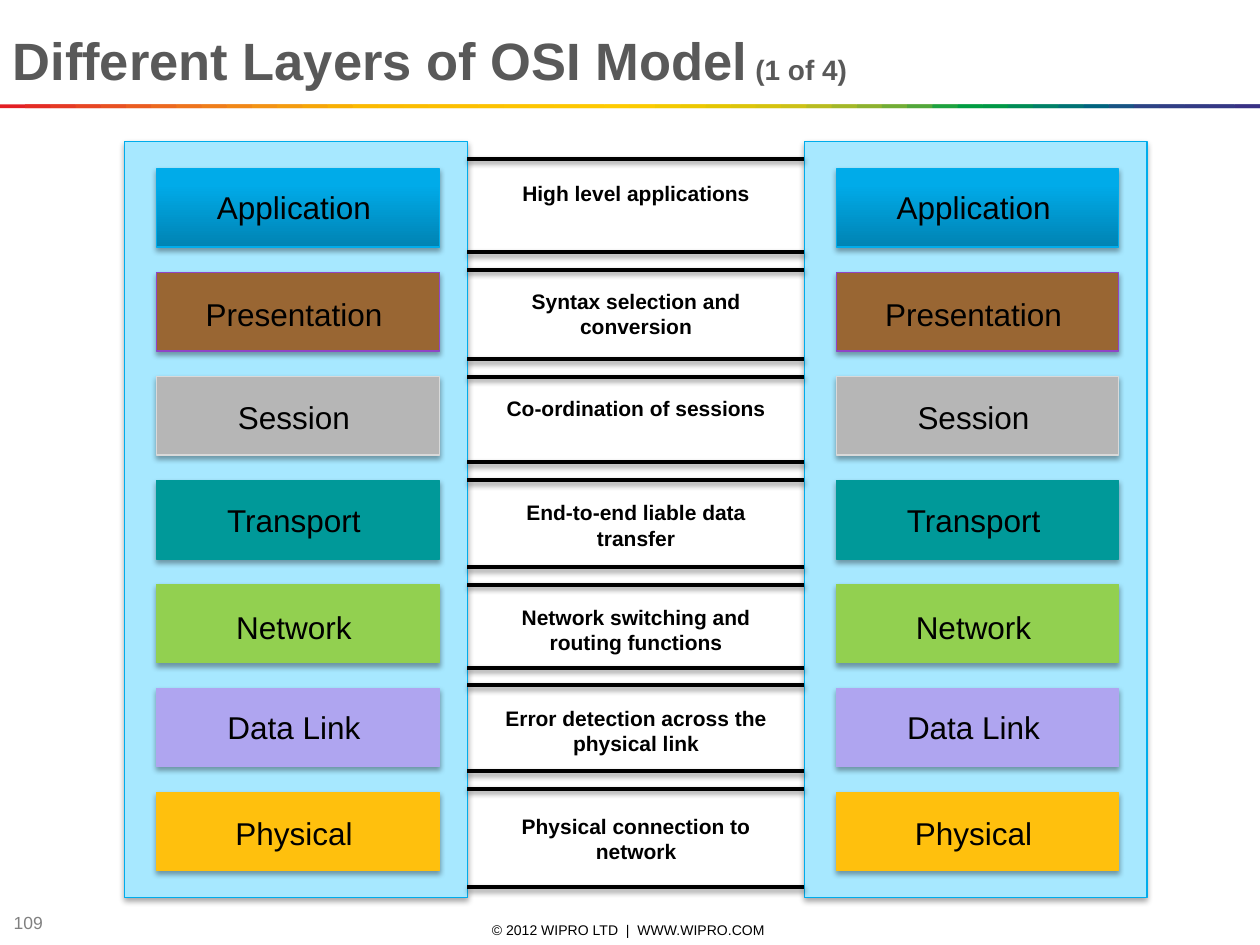
import dataclasses
from typing import Any

import lxml.etree
import pptx
import pptx.dml.color
import pptx.enum.shapes
import pptx.enum.text
import pptx.oxml.ns
import pptx.util

Pt = pptx.util.Pt
ALIGN = pptx.enum.text.PP_ALIGN
RECTANGLE = pptx.enum.shapes.MSO_SHAPE.RECTANGLE
MIDDLE = pptx.enum.text.MSO_ANCHOR.MIDDLE

SLIDE_WIDTH, SLIDE_HEIGHT = 720, 540
PANEL_TOP, PANEL_WIDTH, PANEL_HEIGHT = 80.8, 195.8, 432
PANEL_LEFTS = (71.3, 459.6)
BOX_INSET, BOX_TOP, BOX_PITCH = 18.2, 96.5, 59.4
BOX_WIDTH, BOX_HEIGHT = 161.5, 44.7
LABEL_INSET, LABEL_WIDTH, LABEL_HEIGHT = 29, 135.4, 28.2
FIRST_RULE, RULE_GAP = 90.7, 10.1
NOTE_LEFT, NOTE_WIDTH = 271, 185
SPECTRUM = """
E31E24 E42C24 E53A24 E74623 E85122 EA5D21 EC691F EE741D EF7E1A F18817
F39314 F49C0F F6A607 F8B002 FBBA00 FBBB00 FBBD00 FCBF00 FCC000 FCC200
FDC400 FDC600 FDC700 FEC900 FECB00 FBCB00 F3CA00 ECC800 E4C602 DCC50A
D5C30E CCC117 B8BC21 A3B829 8CB230 71AD36 51A73B 1DA240 009D43 009846
008C57 008068 007275 00637F 185384 2E4285 313E85 333B85 353885 393185
""".split()


@dataclasses.dataclass(frozen=True)
class Layer:
    """One OSI layer; tops and the lower rule are measured from the slide top."""
    name: str
    fill: str
    outline: str
    label_top: float
    note: str
    note_top: float
    note_height: float
    lower_rule: float


LAYERS = (
    Layer("Application", "00ABE9", "00ACEB", 103.7,
          "High level applications", 99.4, 21, 144),
    Layer("Presentation", "996633", "8F45C7", 164.9,
          "Syntax selection and conversion", 161.3, 35.5, 205.2),
    Layer("Session", "B6B6B6", "D9D9D9", 223.9,
          "Co-ordination of sessions", 222.5, 21, 264.2),
    Layer("Transport", "009999", "009999", 282.6,
          "End-to-end liable data transfer", 282.2, 35.5, 324),
    Layer("Network", "92D050", "92D050", 343.8,
          "Network switching and routing functions", 342, 35.5, 381.6),
    Layer("Data Link", "AFA5F0", "AFA5F0", 401,
          "Error detection across the physical link", 399.6, 35.5, 440.6),
    Layer("Physical", "FFC00D", "FFC00D", 461.5,
          "Physical connection to network", 461.5, 35.5, 506.9),
)


def rgb(value: str) -> pptx.dml.color.RGBColor:
    return pptx.dml.color.RGBColor.from_string(value)


def add_run(paragraph: Any, text: str, size: float, color: str = "000000",
            bold: bool = False) -> None:
    run = paragraph.add_run()
    run.text = text
    run.font.name = "Arial"
    run.font.size = Pt(size)
    run.font.bold = bold
    run.font.color.rgb = rgb(color)


def add_text(slide: Any, left: float, top: float, width: float, height: float,
             text: str, size: float, color: str = "000000", bold: bool = False,
             align: Any = ALIGN.CENTER) -> Any:
    """Add a one-paragraph text box and return its text frame."""
    frame = slide.shapes.add_textbox(Pt(left), Pt(top), Pt(width), Pt(height)).text_frame
    frame.word_wrap = True
    frame.paragraphs[0].alignment = align
    add_run(frame.paragraphs[0], text, size, color, bold)
    return frame


def add_shadow(shape: Any, opacity: int, distance: float) -> None:
    """Cast a soft shadow straight down; call once fill and line are set."""
    qn = pptx.oxml.ns.qn
    effects = lxml.etree.SubElement(shape._element.spPr, qn("a:effectLst"))
    shadow = lxml.etree.SubElement(
        effects, qn("a:outerShdw"), blurRad=str(Pt(3.1)), dist=str(Pt(distance)),
        dir="5400000", rotWithShape="0")
    black = lxml.etree.SubElement(shadow, qn("a:srgbClr"), val="000000")
    lxml.etree.SubElement(black, qn("a:alpha"), val=str(opacity * 1000))


def add_box(slide: Any, left: float, top: float, width: float, height: float,
            fill: str, outline: str) -> Any:
    box = slide.shapes.add_shape(RECTANGLE, Pt(left), Pt(top), Pt(width), Pt(height))
    box.fill.solid()
    box.fill.fore_color.rgb = rgb(fill)
    box.line.color.rgb = rgb(outline)
    box.line.width = Pt(0.75)
    add_shadow(box, 35, 1.8)
    return box


def add_spectrum(slide: Any) -> None:
    """Draw the rainbow strip, each piece running under the next one."""
    step = SLIDE_WIDTH / len(SPECTRUM)
    for index, color in enumerate(SPECTRUM):
        left = index * step
        width = min(2 * step, SLIDE_WIDTH - left)
        piece = slide.shapes.add_shape(RECTANGLE, Pt(left), Pt(59.6), Pt(width), Pt(2.2))
        piece.fill.solid()
        piece.fill.fore_color.rgb = rgb(color)
        piece.line.fill.background()
        piece.shadow.inherit = False


def add_title(slide: Any) -> None:
    title = slide.shapes.title
    title.left, title.top = Pt(0), Pt(12.2)
    title.width, title.height = Pt(SLIDE_WIDTH), Pt(44)
    frame = title.text_frame
    frame.vertical_anchor = MIDDLE
    heading = frame.paragraphs[0]
    heading.alignment = ALIGN.LEFT
    add_run(heading, "Different Layers of OSI Model", 30, "595959", True)
    add_run(heading, " (1 of 4)", 16, "595959", True)


def add_stack(slide: Any, left: float) -> None:
    """Draw one panel holding the seven layers."""
    add_box(slide, left, PANEL_TOP, PANEL_WIDTH, PANEL_HEIGHT, "A7E8FF", "00ACEB")
    for index, layer in enumerate(LAYERS):
        box = add_box(slide, left + BOX_INSET, BOX_TOP + index * BOX_PITCH,
                      BOX_WIDTH, BOX_HEIGHT, layer.fill, layer.outline)
        if index == 0:
            box.fill.gradient()
            box.fill.gradient_angle = 90
            dark, light = box.fill.gradient_stops
            dark.color.rgb = rgb("0083B3")
            light.color.rgb = rgb(layer.fill)
            light.position = 0.8
    for layer in LAYERS:
        add_text(slide, left + LABEL_INSET, layer.label_top, LABEL_WIDTH,
                 LABEL_HEIGHT, layer.name, 18)


def add_rule(slide: Any, y: float) -> None:
    rule = slide.shapes.add_connector(
        pptx.enum.shapes.MSO_CONNECTOR.STRAIGHT,
        Pt(PANEL_LEFTS[0] + PANEL_WIDTH), Pt(y), Pt(PANEL_LEFTS[1]), Pt(y))
    rule.line.color.rgb = rgb("000000")
    rule.line.width = Pt(2.25)
    add_shadow(rule, 38, 1.6)


def add_links(slide: Any) -> None:
    """Draw the ruled channels between the panels and their notes."""
    upper_rule = FIRST_RULE
    for layer in LAYERS:
        add_rule(slide, upper_rule)
        add_rule(slide, layer.lower_rule)
        upper_rule = layer.lower_rule + RULE_GAP
        add_text(slide, NOTE_LEFT, layer.note_top, NOTE_WIDTH, layer.note_height,
                 layer.note, 12, bold=True)


def add_footer(slide: Any) -> None:
    copyright_line = add_text(slide, 246.2, 525.6, 228.2, 11.5,
                              "© 2012 WIPRO LTD  |  WWW.WIPRO.COM ", 8)
    page_number = add_text(slide, 0.7, 519.8, 54, 15.1, "109", 10, "808080",
                           align=ALIGN.LEFT)
    for frame in (copyright_line, page_number):
        frame.margin_top = frame.margin_bottom = Pt(0)
        frame.vertical_anchor = MIDDLE


def main() -> None:
    presentation = pptx.Presentation()
    presentation.slide_width = Pt(SLIDE_WIDTH)
    presentation.slide_height = Pt(SLIDE_HEIGHT)
    slide = presentation.slides.add_slide(presentation.slide_layouts[5])
    add_footer(slide)
    add_spectrum(slide)
    add_title(slide)
    for left in PANEL_LEFTS:
        add_stack(slide, left)
    add_links(slide)
    presentation.save("out.pptx")


if __name__ == "__main__":
    main()
